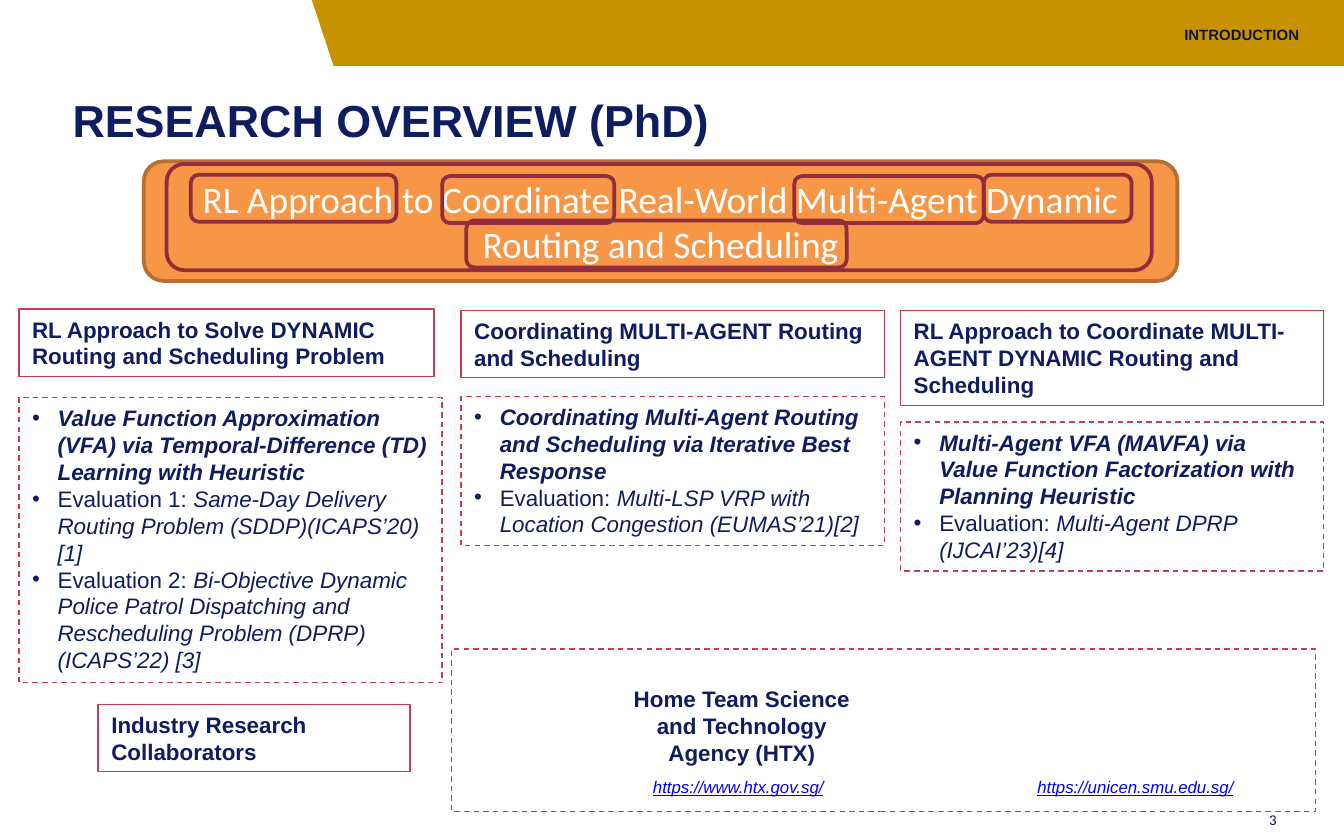
"""Build the research overview slide."""
from dataclasses import dataclass

from lxml import etree
from pptx import Presentation
from pptx.dml.color import RGBColor
from pptx.enum import dml, shapes, text
from pptx.oxml import ns
from pptx.util import Inches, Pt


@dataclass(frozen=True)
class Theme:
    """Colours, fonts and type sizes."""
    gold: str = "C69200"
    navy: str = "0E1D5F"
    dark: str = "0F1541"
    orange: str = "F79646"
    brown: str = "B76F34"
    maroon: str = "922D3D"
    red: str = "C63D52"
    white: str = "FFFFFF"
    link: str = "0000FF"
    heading_font: str = "Arial"
    banner_font: str = "Calibri"
    title: int = 24
    banner: int = 20
    body: int = 12
    url: int = 9
    small: int = 8


THEME = Theme()
RECTANGLE = shapes.MSO_SHAPE.RECTANGLE
ROUNDED = shapes.MSO_SHAPE.ROUNDED_RECTANGLE
CENTER = text.PP_ALIGN.CENTER
DEFAULT_MARGINS = (0.1, 0.05, 0.1, 0.05)
NO_MARGINS = (0, 0, 0, 0)

TITLE = "RESEARCH OVERVIEW (PhD)"
SECTION = "INTRODUCTION"
PAGE_NUMBER = "3"
BANNER = "RL Approach to Coordinate Real-World Multi-Agent Dynamic Routing and Scheduling"
HIGHLIGHTS = [
    (7.32, 1.3, 1.1, 0.35),
    (3.47, 1.64, 2.83, 0.35),
    (1.42, 1.3, 1.53, 0.35),
    (3.29, 1.31, 1.28, 0.35),
    (1.24, 1.22, 7.33, 0.79),
    (5.91, 1.31, 1.41, 0.35),
]
COLUMNS = [
    {
        "heading": "RL Approach to Solve DYNAMIC Routing and Scheduling Problem",
        "heading_box": (0.14, 2.3, 3.09, 0.5),
        "method": "Value Function Approximation (VFA) via Temporal-Difference (TD) "
                  "Learning with Heuristic",
        "evaluations": [
            ("Evaluation 1: ", "Same-Day Delivery Routing Problem (SDDP)(ICAPS’20) [1]"),
            ("Evaluation 2: ", "Bi-Objective Dynamic Police Patrol Dispatching and "
                               "Rescheduling Problem (DPRP)(ICAPS’22) [3]"),
        ],
        "detail_box": (0.14, 2.96, 3.15, 2.12),
    },
    {
        "heading": "Coordinating MULTI-AGENT Routing and Scheduling",
        "heading_box": (3.43, 2.31, 3.15, 0.5),
        "method": "Coordinating Multi-Agent Routing and Scheduling via Iterative Best Response",
        "evaluations": [
            ("Evaluation: ", "Multi-LSP VRP with Location Congestion (EUMAS’21)[2]"),
        ],
        "detail_box": (3.43, 2.95, 3.15, 1.11),
    },
    {
        "heading": "RL Approach to Coordinate MULTI-AGENT DYNAMIC Routing and Scheduling",
        "heading_box": (6.7, 2.31, 3.15, 0.71),
        "method": "Multi-Agent VFA (MAVFA) via Value Function Factorization "
                  "with Planning Heuristic",
        "evaluations": [("Evaluation:", " Multi-Agent DPRP (IJCAI’23)[4]")],
        "detail_box": (6.7, 3.14, 3.15, 1.11),
    },
]
COLLABORATORS = ("Industry Research Collaborators", (0.73, 5.24, 2.32, 0.5))
PARTNER_BOX = (3.36, 4.83, 6.43, 1.21)
PARTNER = ("Home Team Science and Technology Agency (HTX)", (4.6, 5.05, 1.84, 0.71))
ADDRESSES = [
    ("https://www.htx.gov.sg/", (4.76, 5.73, 1.59, 0.25)),
    ("https://unicen.smu.edu.sg/", (7.62, 5.73, 1.84, 0.25)),
]


def color(value):
    return RGBColor.from_string(value)


def add_box(slide, box, kind=RECTANGLE, fill=None, line=None, width=0.75, dashed=False):
    shape = slide.shapes.add_shape(kind, *map(Inches, box))
    shape.shadow.inherit = False
    if fill:
        shape.fill.solid()
        shape.fill.fore_color.rgb = color(fill)
    else:
        shape.fill.background()
    if line:
        shape.line.color.rgb = color(line)
        shape.line.width = Pt(width)
        if dashed:
            shape.line.dash_style = dml.MSO_LINE.DASH
    else:
        shape.line.fill.background()
    return shape


def add_text_box(slide, box):
    return slide.shapes.add_textbox(*map(Inches, box))


def add_bullet(paragraph):
    properties = paragraph._p.get_or_add_pPr()
    properties.set("marL", str(Inches(0.19)))
    properties.set("indent", str(-Inches(0.19)))
    etree.SubElement(properties, ns.qn("a:buFont")).set("typeface", "Arial")
    etree.SubElement(properties, ns.qn("a:buChar")).set("char", "•")


def write(shape, content, *, size=THEME.body, font=THEME.heading_font, ink=THEME.navy,
          align=text.PP_ALIGN.LEFT, anchor=text.MSO_ANCHOR.TOP, margins=DEFAULT_MARGINS,
          bold=False, italic=False, underline=False, bullets=False):
    """Write a string, or a list of paragraphs made of (text, bold, italic) runs."""
    frame = shape.text_frame
    frame.word_wrap = True
    frame.vertical_anchor = anchor
    (frame.margin_left, frame.margin_top,
     frame.margin_right, frame.margin_bottom) = map(Inches, margins)
    paragraphs = [[(content, bold, italic)]] if isinstance(content, str) else content
    for index, runs in enumerate(paragraphs):
        paragraph = frame.add_paragraph() if index else frame.paragraphs[0]
        paragraph.alignment = align
        if bullets:
            add_bullet(paragraph)
        for words, is_bold, is_italic in runs:
            run = paragraph.add_run()
            run.text = words
            run.font.name, run.font.size = font, Pt(size)
            run.font.bold, run.font.italic = is_bold, is_italic
            run.font.underline = underline
            run.font.color.rgb = color(ink)


def add_header(slide):
    add_box(slide, (2.57, 0, 7.43, 0.49), fill=THEME.gold)
    slant = add_box(slide, (2.32, 0, 0.5, 0.49), shapes.MSO_SHAPE.TRAPEZOID, fill=THEME.gold)
    slant.adjustments[0] = 0.33
    slant.rotation = 180
    write(add_text_box(slide, (0.54, 0.68, 8.44, 0.47)), TITLE, size=THEME.title, bold=True,
          anchor=text.MSO_ANCHOR.MIDDLE, margins=(0, 0, 0.1, 0.05))
    write(add_text_box(slide, (8.54, 0.19, 1.4, 0.18)), SECTION, size=THEME.small,
          ink=THEME.dark, bold=True, align=CENTER, margins=NO_MARGINS)
    write(add_text_box(slide, (9, 6.03, 0.5, 0.3)), PAGE_NUMBER, size=THEME.small,
          font=THEME.banner_font, ink=THEME.dark, align=text.PP_ALIGN.RIGHT,
          margins=NO_MARGINS)


def add_banner(slide):
    banner = add_box(slide, (1.07, 1.2, 7.69, 0.89), ROUNDED, THEME.orange, THEME.brown, 2)
    write(banner, BANNER, size=THEME.banner, font=THEME.banner_font, ink=THEME.white,
          align=CENTER, anchor=text.MSO_ANCHOR.MIDDLE)
    for box in HIGHLIGHTS:
        add_box(slide, box, ROUNDED, line=THEME.maroon, width=2)


def add_heading(slide, words, box):
    write(add_box(slide, box, fill=THEME.white, line=THEME.red), words, bold=True)


def add_column(slide, column):
    add_heading(slide, column["heading"], column["heading_box"])
    paragraphs = [[(column["method"], True, True)]]
    paragraphs += [[(label, False, False), (topic, False, True)]
                   for label, topic in column["evaluations"]]
    detail = add_box(slide, column["detail_box"], line=THEME.red, dashed=True)
    write(detail, paragraphs, bullets=True)


def add_partners(slide):
    add_heading(slide, *COLLABORATORS)
    add_box(slide, PARTNER_BOX, line=THEME.red, dashed=True)
    name, box = PARTNER
    write(add_text_box(slide, box), name, bold=True, align=CENTER)
    for address, box in ADDRESSES:
        write(add_text_box(slide, box), address, size=THEME.url, ink=THEME.link,
              italic=True, underline=True)


def main():
    presentation = Presentation()
    presentation.slide_width, presentation.slide_height = Inches(10), Inches(6.25)
    slide = presentation.slides.add_slide(presentation.slide_layouts[6])
    add_header(slide)
    add_banner(slide)
    for column in COLUMNS:
        add_column(slide, column)
    add_partners(slide)
    presentation.save("out.pptx")


if __name__ == "__main__":
    main()
